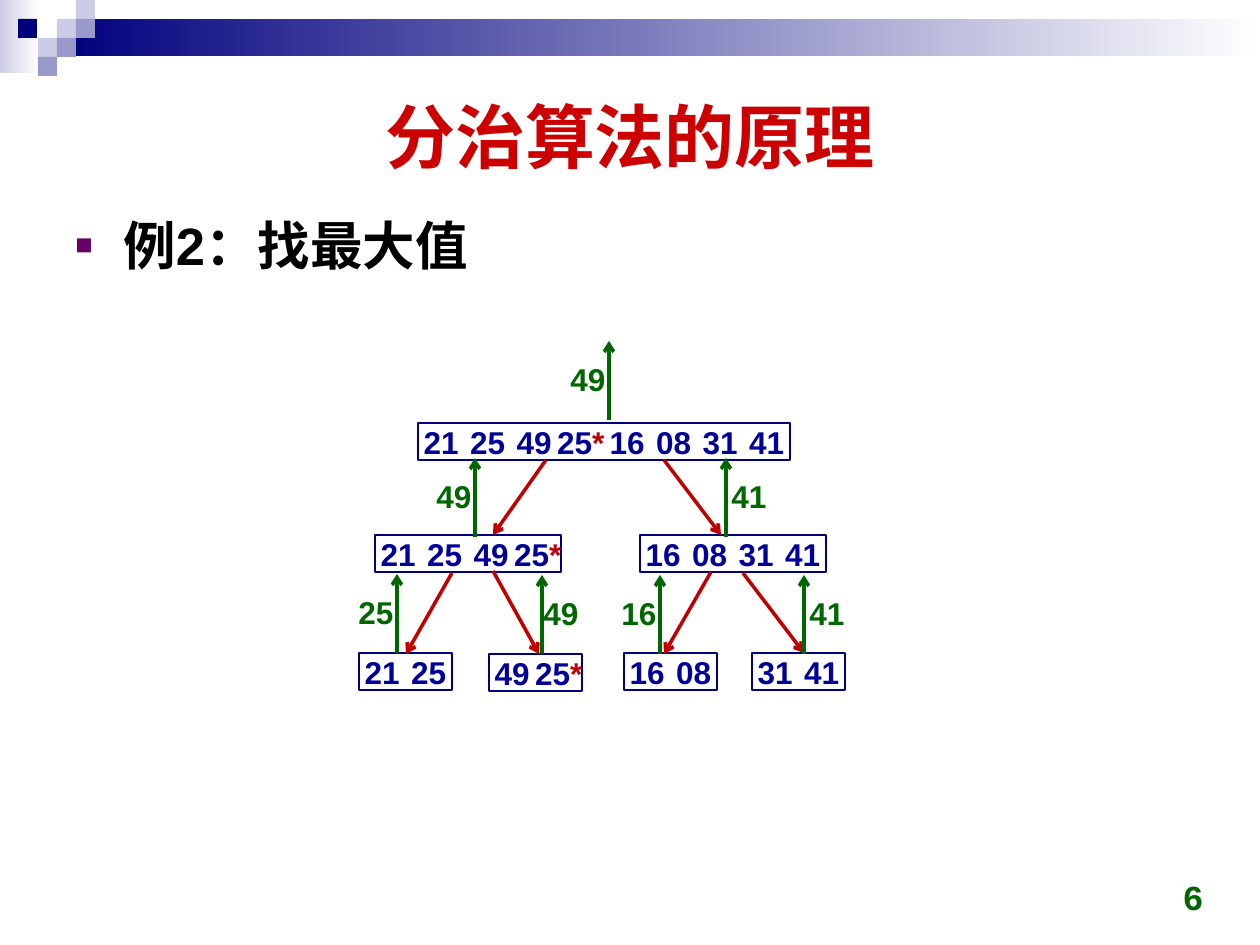
import pptx
import pptx.dml.color
import pptx.enum.shapes
import pptx.enum.text
import pptx.oxml
import pptx.oxml.ns
import pptx.util
from dataclasses import dataclass

Anchor = pptx.enum.text.MSO_ANCHOR
Align = pptx.enum.text.PP_ALIGN
DRAWING = pptx.oxml.ns.nsdecls("a")
PX = 914400 // 126


@dataclass(frozen=True)
class Theme:
    font: str = "Arial"
    number_font: str = "Courier New"
    navy: str = "00007D"
    lavender: str = "CCCCE6"
    violet: str = "9999CC"
    white: str = "FFFFFF"
    title: str = "CC0000"
    body: str = "000000"
    bullet: str = "660066"
    digit: str = "000099"
    split: str = "C00000"
    result: str = "006600"
    title_size: int = 40
    body_size: int = 30
    number_size: int = 20
    digit_size: int = 18


THEME = Theme()

TITLE = "分治算法的原理"
BODY = "例2：找最大值"
PAGE_NUMBER = "6"

GRADIENT_BARS = [((0, 0, 39, 73), THEME.lavender), ((57, 19, 1203, 37), THEME.navy)]
TILE = 19
TILES = [
    (57, 19, THEME.lavender), (76, 0, THEME.lavender), (76, 19, THEME.violet),
    (38, 38, THEME.lavender), (18, 19, THEME.navy), (57, 38, THEME.violet),
    (38, 57, THEME.violet),
]

ARRAY_HEIGHT = 37
CELL_WIDTH = 46.5
CELL_OVERHANG = 3
ARRAYS = [
    (418, 423, "21 25 49 25* 16 08 31 41"),
    (375, 535, "21 25 49 25*"),
    (640, 535, "16 08 31 41"),
    (359, 653, "21 25"),
    (489, 654, "49 25*"),
    (624, 653, "16 08"),
    (752, 653, "31 41"),
]
SPLIT_ARROWS = [
    (546, 460, 493, 535), (664, 460, 721, 535), (452, 573, 406, 654),
    (493, 571, 539, 654), (711, 572, 664, 654), (743, 573, 804, 653),
]
RESULT_RISE = 79
RESULT_LABEL_OFFSET = 66
RESULTS = [
    ("25", 397, 653, 346), ("49", 542, 654, 531),
    ("16", 660, 654, 609), ("41", 804, 654, 797),
    ("49", 475, 537, 424), ("41", 726, 537, 719),
    ("49", 609, 420, 558),
]


def emu(*lengths):
    return [pptx.util.Emu(round(length * PX)) for length in lengths]


def color(value):
    return pptx.dml.color.RGBColor.from_string(value)


def add_rectangle(slide, box):
    shape = slide.shapes.add_shape(pptx.enum.shapes.MSO_SHAPE.RECTANGLE, *emu(*box))
    shape.shadow.inherit = False
    shape.line.fill.background()
    return shape


def add_gradient_bar(slide, box, start):
    fill = add_rectangle(slide, box).fill
    fill.gradient()
    fill.gradient_angle = 0
    for stop, position, value in zip(fill.gradient_stops, (0, 1), (start, THEME.white)):
        stop.position = position
        stop.color.rgb = color(value)


def add_tile(slide, left, top, value):
    fill = add_rectangle(slide, (left, top, TILE, TILE)).fill
    fill.solid()
    fill.fore_color.rgb = color(value)


def add_text(slide, box, text, size, value, align=Align.CENTER, anchor=Anchor.TOP,
             wrap=True, font=THEME.font, inset=True):
    frame = slide.shapes.add_textbox(*emu(*box)).text_frame
    frame.word_wrap = wrap
    frame.vertical_anchor = anchor
    if not inset:
        frame.margin_left = frame.margin_right = frame.margin_top = frame.margin_bottom = 0
    paragraph = frame.paragraphs[0]
    paragraph.alignment = align
    paragraph.add_run().text = text
    paragraph.font.name = font
    paragraph.font.size = pptx.util.Pt(size)
    paragraph.font.bold = True
    paragraph.font.color.rgb = color(value)
    return paragraph


def add_bullet(paragraph, indent):
    paragraph.line_spacing = 1.05
    properties = paragraph._p.get_or_add_pPr()
    properties.set("marL", str(indent * PX))
    properties.set("indent", str(-indent * PX))
    font_defaults = properties.find(pptx.oxml.ns.qn("a:defRPr"))
    for element in (
        f'<a:buClr {DRAWING}><a:srgbClr val="{THEME.bullet}"/></a:buClr>',
        f'<a:buSzPct {DRAWING} val="55000"/>',
        f'<a:buFont {DRAWING} typeface="{THEME.font}"/>',
        f'<a:buChar {DRAWING} char="■"/>',
    ):
        font_defaults.addprevious(pptx.oxml.parse_xml(element))


def add_array(slide, left, top, text):
    values = text.split()
    frame = add_rectangle(slide, (left, top, CELL_WIDTH * len(values), ARRAY_HEIGHT))
    frame.fill.background()
    frame.line.color.rgb = color(THEME.navy)
    frame.line.width = pptx.util.Pt(1)
    for index, value in enumerate(values):
        cell = (left + index * CELL_WIDTH - CELL_OVERHANG, top,
                CELL_WIDTH + 2 * CELL_OVERHANG, ARRAY_HEIGHT)
        paragraph = add_text(slide, cell, value.rstrip("*"), THEME.digit_size, THEME.digit,
                             anchor=Anchor.MIDDLE, wrap=False, inset=False)
        if value.endswith("*"):
            star = paragraph.add_run()
            star.text = "*"
            star.font.color.rgb = color(THEME.split)


def add_arrow(slide, points, value):
    connector = slide.shapes.add_connector(
        pptx.enum.shapes.MSO_CONNECTOR.STRAIGHT, *emu(*points))
    connector.line.color.rgb = color(value)
    connector.line.width = pptx.util.Pt(2)
    line = connector.line._get_or_add_ln()
    line.append(pptx.oxml.parse_xml(f'<a:tailEnd {DRAWING} type="arrow"/>'))
    line.addnext(pptx.oxml.parse_xml(f"<a:effectLst {DRAWING}/>"))


def main():
    presentation = pptx.Presentation()
    presentation.slide_width, presentation.slide_height = emu(1260, 945)
    slide = presentation.slides.add_slide(presentation.slide_layouts[6])

    for box, start in GRADIENT_BARS:
        add_gradient_bar(slide, box, start)
    for tile in TILES:
        add_tile(slide, *tile)

    add_text(slide, (63, 63, 1134, 146), TITLE, THEME.title_size, THEME.title,
             anchor=Anchor.MIDDLE)
    body = add_text(slide, (63, 204, 1134, 655), BODY, THEME.body_size, THEME.body,
                    align=Align.JUSTIFY)
    add_bullet(body, 48)
    add_text(slide, (922, 861, 294, 63), PAGE_NUMBER, THEME.number_size, THEME.result,
             align=Align.RIGHT, anchor=Anchor.BOTTOM, font=THEME.number_font)

    for array in ARRAYS:
        add_array(slide, *array)
    for points in SPLIT_ARROWS:
        add_arrow(slide, points, THEME.split)
    for value, x, bottom, label_left in RESULTS:
        add_arrow(slide, (x, bottom, x, bottom - RESULT_RISE), THEME.result)
        add_text(slide, (label_left, bottom - RESULT_LABEL_OFFSET, 60, 50), value,
                 THEME.digit_size, THEME.result, wrap=False)

    presentation.save("out.pptx")


if __name__ == "__main__":
    main()
